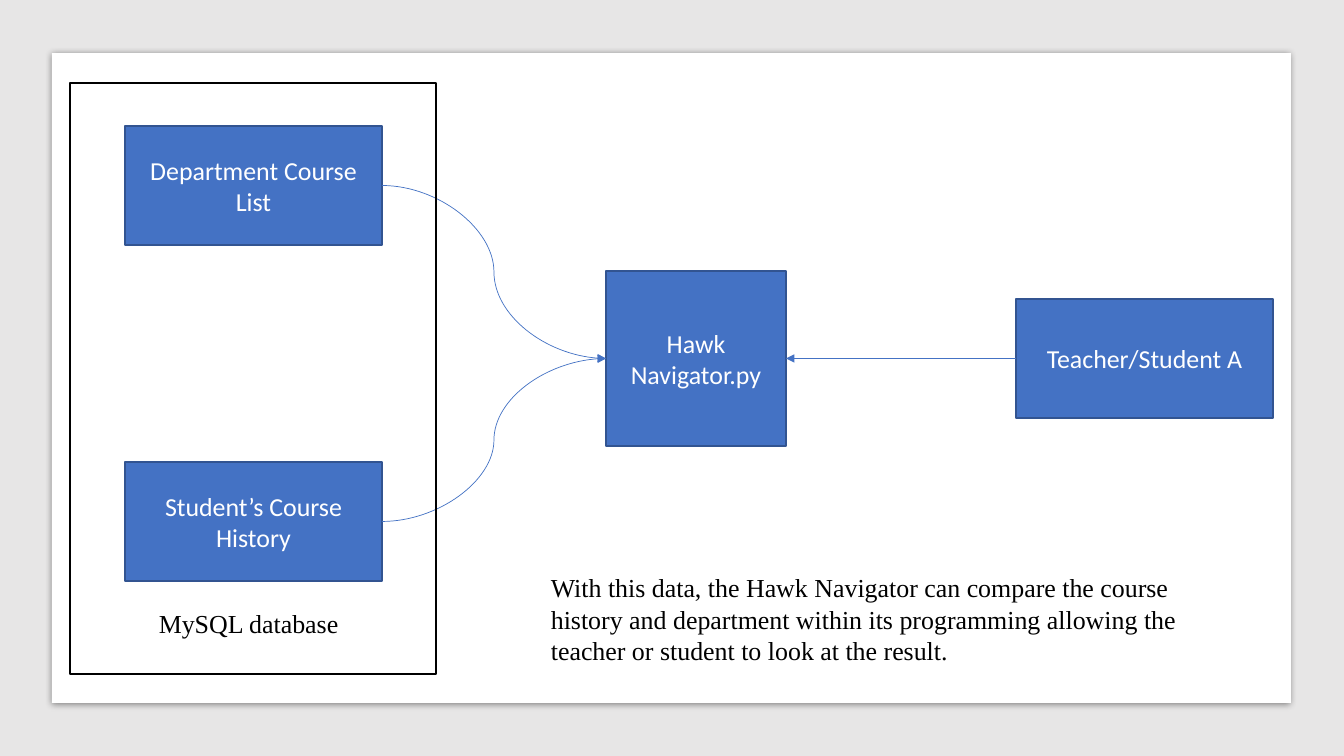
from lxml import etree
from pptx import Presentation
from pptx.dml.color import RGBColor
from pptx.enum.shapes import MSO_CONNECTOR, MSO_SHAPE
from pptx.enum.text import MSO_ANCHOR, MSO_AUTO_SIZE, PP_ALIGN
from pptx.oxml.ns import qn
from pptx.util import Pt

RECTANGLE = MSO_SHAPE.RECTANGLE
STRAIGHT, CURVE = MSO_CONNECTOR.STRAIGHT, MSO_CONNECTOR.CURVE
LEFT, CENTER = PP_ALIGN.LEFT, PP_ALIGN.CENTER
TOP, MIDDLE = MSO_ANCHOR.TOP, MSO_ANCHOR.MIDDLE
GROW = MSO_AUTO_SIZE.SHAPE_TO_FIT_TEXT
LEFT_SIDE, RIGHT_SIDE = 1, 3

GREY = RGBColor(0xE7, 0xE6, 0xE6)
WHITE = RGBColor(0xFF, 0xFF, 0xFF)
BLACK = RGBColor(0x00, 0x00, 0x00)
BLUE = RGBColor(0x44, 0x72, 0xC4)
DARK_BLUE = RGBColor(0x32, 0x54, 0x91)

SLIDE_SIZE = (1344, 756)
CARD = (52, 53, 1239, 650)
DATABASE = (70, 83, 366, 591)
NODES = {
    "navigator": ("Hawk Navigator.py", (606, 271, 180, 175)),
    "user": ("Teacher/Student A", (1016, 299, 257, 119)),
    "courses": ("Department Course List", (125, 126, 257, 119)),
    "history": ("Student’s Course History", (125, 462, 257, 119)),
}
LINKS = [
    ("history", RIGHT_SIDE, LEFT_SIDE, CURVE),
    ("courses", RIGHT_SIDE, LEFT_SIDE, CURVE),
    ("user", LEFT_SIDE, RIGHT_SIDE, STRAIGHT),
]
CAPTIONS = [
    ("MySQL database", (114, 603, 269, 42), CENTER),
    ("With this data, the Hawk Navigator can compare the course history and "
     "department within its programming allowing the teacher or student to "
     "look at the result.", (541, 567, 711, 106), LEFT),
]


def px(length):
    return round(length * 914400 / 100.8)


def place(box):
    return [px(length) for length in box]


def write(frame, text, font="Calibri", color=WHITE, align=CENTER, anchor=MIDDLE):
    frame.word_wrap = True
    frame.vertical_anchor = anchor
    paragraph = frame.paragraphs[0]
    paragraph.alignment = align
    paragraph.space_after = Pt(6)
    run = paragraph.add_run()
    run.text = text
    run.font.name = font
    run.font.size = Pt(18.5)
    run.font.color.rgb = color


def add_box(box, fill=None, line=None):
    shape = slide.shapes.add_shape(RECTANGLE, *place(box))
    if fill is None:
        shape.fill.background()
    else:
        shape.fill.solid()
        shape.fill.fore_color.rgb = fill
    if line is None:
        shape.line.fill.background()
    else:
        shape.line.color.rgb = line
        shape.line.width = Pt(1)
    shape.shadow.inherit = False
    return shape


def add_card_shadow(card):
    effects = card.element.spPr.find(qn("a:effectLst"))
    shadow = etree.SubElement(
        effects, qn("a:outerShdw"), blurRad=str(Pt(5)), dist=str(Pt(1.4)),
        dir="5400000", algn="t", rotWithShape="0")
    color = etree.SubElement(shadow, qn("a:srgbClr"), val=str(BLACK))
    etree.SubElement(color, qn("a:alpha"), val="43000")


def side_point(shape, side):
    x = shape.left if side == LEFT_SIDE else shape.left + shape.width
    return x, shape.top + shape.height // 2


def add_link(source, source_side, target, target_side, kind):
    link = slide.shapes.add_connector(
        kind, *side_point(source, source_side), *side_point(target, target_side))
    link.begin_connect(source, source_side)
    link.end_connect(target, target_side)
    link.line.color.rgb = BLUE
    link.line.width = Pt(0.5)
    properties = link.element.spPr
    etree.SubElement(properties.find(qn("a:ln")), qn("a:tailEnd"), type="triangle")
    etree.SubElement(properties, qn("a:effectLst"))


presentation = Presentation()
presentation.slide_width, presentation.slide_height = place(SLIDE_SIZE)
slide = presentation.slides.add_slide(presentation.slide_layouts[6])

add_box((0, 0, *SLIDE_SIZE), fill=GREY)
add_card_shadow(add_box(CARD, fill=WHITE))

nodes = {}
for key, (label, box) in NODES.items():
    nodes[key] = add_box(box, fill=BLUE, line=DARK_BLUE)
    write(nodes[key].text_frame, label)

for source, source_side, target_side, kind in LINKS:
    add_link(nodes[source], source_side, nodes["navigator"], target_side, kind)

add_box(DATABASE, line=BLACK)

for text, box, align in CAPTIONS:
    caption = slide.shapes.add_textbox(*place(box)).text_frame
    caption.auto_size = GROW
    write(caption, text, font="Times New Roman", color=BLACK, align=align, anchor=TOP)

presentation.save("out.pptx")
